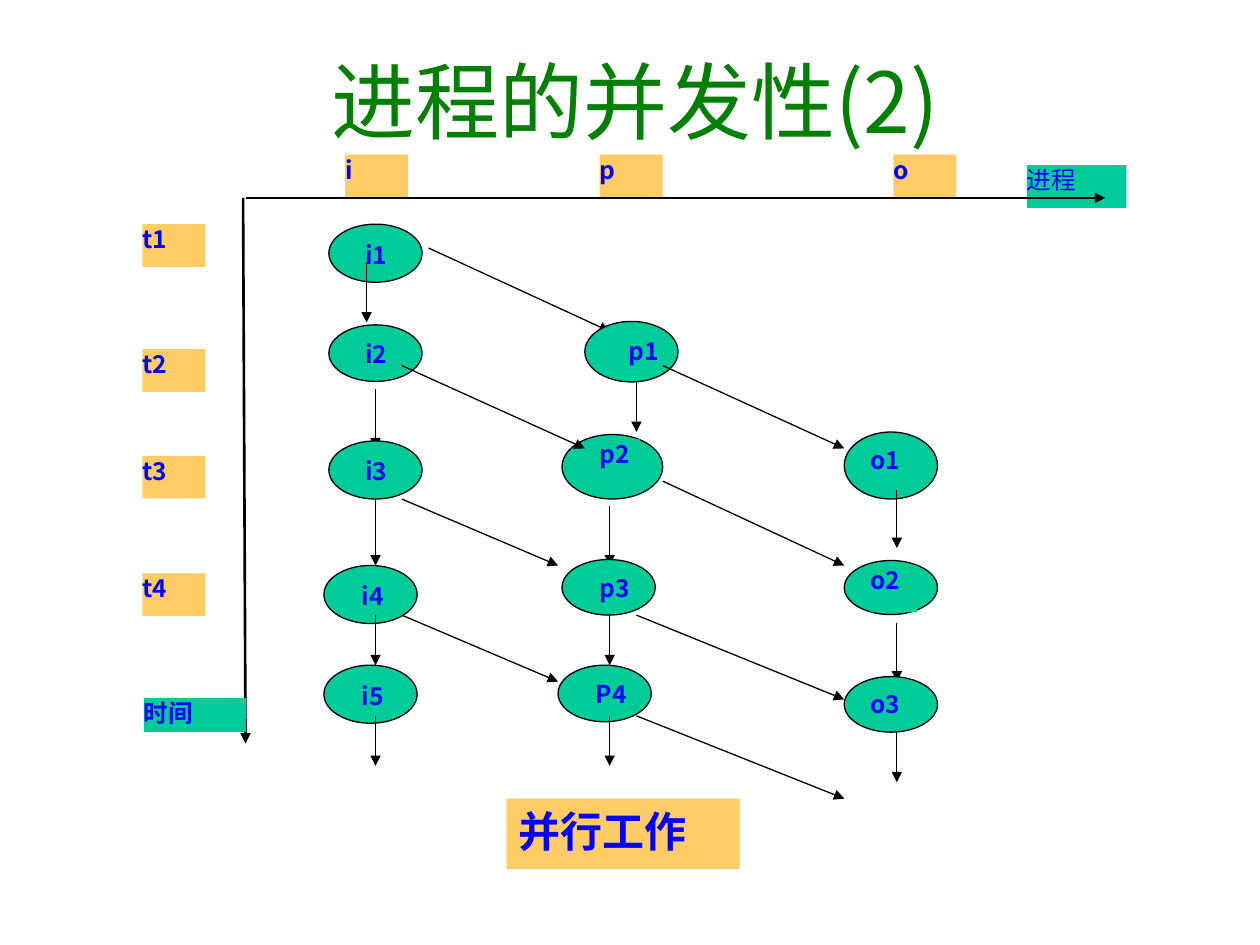
"""Build a slide showing concurrent processes i, p and o over time."""

import typing

import pptx
import pptx.dml.color
import pptx.enum.shapes
import pptx.enum.text
import pptx.oxml.ns
import pptx.util
from lxml import etree

Cm = pptx.util.Cm
Pt = pptx.util.Pt
SHAPE = pptx.enum.shapes.MSO_SHAPE
ALIGN = pptx.enum.text.PP_ALIGN
ANCHOR = pptx.enum.text.MSO_ANCHOR

GREEN = pptx.dml.color.RGBColor(0x00, 0x80, 0x00)
TEAL = pptx.dml.color.RGBColor(0x00, 0xCC, 0x99)
ORANGE = pptx.dml.color.RGBColor(0xFF, 0xCC, 0x66)
BLUE = pptx.dml.color.RGBColor(0x00, 0x00, 0xFF)
BLACK = pptx.dml.color.RGBColor(0x00, 0x00, 0x00)
MAIN_FONT = "Noto Sans CJK JP"
LABEL_FONT = {"name": MAIN_FONT, "size": Pt(14), "bold": True}
AXIS_FONT = {"name": "Noto Sans CJK SC", "size": Pt(14), "bold": False}
CAPTION_FONT = {"name": MAIN_FONT, "size": Pt(24), "bold": True}
TITLE_FONT = {"name": MAIN_FONT, "size": Pt(48)}
NO_INSETS = (0, 0)
CAPTION_INSETS = (0.25, 0.13)


class Box(typing.NamedTuple):
    left: float
    top: float
    width: float
    height: float


class Node(typing.NamedTuple):
    text: str
    oval: Box
    label: Box


class Arrow(typing.NamedTuple):
    start_x: float
    start_y: float
    end_x: float
    end_y: float


NODES = [
    Node("i1", Box(6.63, 4.52, 1.88, 1.17), Box(7.37, 4.83, 0.53, 0.71)),
    Node("i2", Box(6.63, 6.55, 1.88, 1.14), Box(7.37, 6.83, 0.74, 0.69)),
    Node("i3", Box(6.63, 8.89, 1.88, 1.17), Box(7.37, 9.19, 0.74, 0.74)),
    Node("i4", Box(6.53, 11.4, 1.88, 1.17), Box(7.29, 11.71, 0.61, 0.64)),
    Node("i5", Box(6.53, 13.41, 1.88, 1.17), Box(7.29, 13.72, 0.81, 0.61)),
    Node("p1", Box(11.79, 6.48, 1.88, 1.22), Box(12.67, 6.78, 0.64, 0.74)),
    Node("p2", Box(11.33, 8.76, 2.03, 1.3), Box(12.09, 8.86, 0.81, 0.86)),
    Node("p3", Box(11.33, 11.28, 1.88, 1.12), Box(12.09, 11.56, 0.81, 0.58)),
    Node("P4", Box(11.25, 13.41, 1.88, 1.14), Box(12.01, 13.69, 0.89, 0.64)),
    Node("o1", Box(17.02, 8.71, 1.88, 1.35), Box(17.55, 8.97, 0.74, 0.94)),
    Node("o2", Box(17.02, 11.3, 1.88, 1.09), Box(17.55, 11.4, 0.94, 0.94)),
    Node("o3", Box(17.02, 13.64, 1.88, 1.12), Box(17.55, 13.89, 0.94, 0.64)),
]
PROCESS_LEFTS = {"i": 6.96, "p": 12.09, "o": 18.01}
TIME_TOPS = {"t1": 4.52, "t2": 7.04, "t3": 9.19, "t4": 11.56}
TIME_AXIS = Arrow(4.9, 3.99, 4.95, 14.99)
PROCESS_AXIS = Arrow(4.95, 3.99, 22.28, 3.99)
ARROWS_BEHIND_NODES = [
    Arrow(8.64, 5, 12.29, 6.68),
    Arrow(7.57, 7.85, 7.57, 9.04),
    Arrow(12.29, 10.21, 12.29, 11.4),
    Arrow(18.08, 12.55, 18.08, 13.74),
]
ARROWS_OVER_NODES = [
    Arrow(7.39, 5.31, 7.39, 6.5),
    Arrow(7.57, 10.06, 7.57, 11.4),
    Arrow(7.57, 12.4, 7.57, 13.41),
    Arrow(7.57, 14.43, 7.57, 15.44),
    Arrow(12.83, 7.7, 12.83, 8.71),
    Arrow(12.29, 12.4, 12.29, 13.41),
    Arrow(12.29, 14.43, 12.29, 15.44),
    Arrow(18.08, 9.88, 18.08, 11.05),
    Arrow(18.08, 14.76, 18.08, 15.77),
    Arrow(8.1, 7.37, 11.79, 9.04),
    Arrow(8.1, 10.06, 11.25, 11.4),
    Arrow(8.1, 12.4, 11.25, 13.74),
    Arrow(13.36, 7.37, 17.02, 9.04),
    Arrow(13.36, 9.7, 17.02, 11.4),
    Arrow(12.83, 12.4, 17.02, 14.1),
    Arrow(12.83, 14.43, 17.02, 16.1),
]


def write_text(paragraph, text: str, color, font_format: dict) -> None:
    run = paragraph.add_run()
    run.text = text
    for name, value in font_format.items():
        setattr(run.font, name, value)
    run.font.color.rgb = color
    east_asian = etree.SubElement(run.font._element, pptx.oxml.ns.qn("a:ea"))
    east_asian.set("typeface", font_format["name"])


def add_filled_shape(slide, kind, box: Box, color):
    shape = slide.shapes.add_shape(kind, *map(Cm, box))
    shape.shadow.inherit = False
    shape.fill.solid()
    shape.fill.fore_color.rgb = color
    return shape


def add_label(slide, text: str, box: Box, color, font_format: dict = LABEL_FONT,
              insets: tuple = NO_INSETS, alignment=ALIGN.LEFT) -> None:
    shape = add_filled_shape(slide, SHAPE.RECTANGLE, box, color)
    shape.line.fill.background()
    side, edge = map(Cm, insets)
    frame_format = {
        "margin_left": side, "margin_right": side,
        "margin_top": edge, "margin_bottom": edge,
        "vertical_anchor": ANCHOR.TOP, "word_wrap": True,
    }
    for name, value in frame_format.items():
        setattr(shape.text_frame, name, value)
    paragraph = shape.text_frame.paragraphs[0]
    paragraph.alignment = alignment
    write_text(paragraph, text, BLUE, font_format)


def add_node(slide, node: Node) -> None:
    oval = add_filled_shape(slide, SHAPE.OVAL, node.oval, TEAL)
    oval.line.color.rgb = BLACK
    oval.line.width = Pt(0.75)
    add_label(slide, node.text, node.label, TEAL)


def add_arrow(slide, arrow: Arrow, width: float = 0.75) -> None:
    connector = slide.shapes.add_connector(
        pptx.enum.shapes.MSO_CONNECTOR.STRAIGHT, *map(Cm, arrow))
    connector.line.color.rgb = BLACK
    connector.line.width = Pt(width)
    line = connector.line._get_or_add_ln()
    etree.SubElement(line, pptx.oxml.ns.qn("a:tailEnd")).set("type", "triangle")
    etree.SubElement(connector._element.spPr, pptx.oxml.ns.qn("a:effectLst"))


def add_title(slide, text: str, box: Box) -> None:
    title = slide.shapes.title
    for name, value in box._asdict().items():
        setattr(title, name, Cm(value))
    title.text_frame.vertical_anchor = ANCHOR.MIDDLE
    paragraph = title.text_frame.paragraphs[0]
    paragraph.alignment = ALIGN.CENTER
    write_text(paragraph, text, GREEN, TITLE_FONT)


def main() -> None:
    presentation = pptx.Presentation()
    presentation.slide_width = Cm(25.4)
    presentation.slide_height = Cm(19.05)
    slide = presentation.slides.add_slide(presentation.slide_layouts[5])
    add_title(slide, "进程的并发性(2)", Box(2.54, 0.43, 20.52, 3.18))
    add_label(slide, "进程", Box(20.7, 3.33, 2.01, 0.86), TEAL, AXIS_FONT)
    add_arrow(slide, TIME_AXIS, 1.5)
    add_label(slide, "时间", Box(2.9, 14.07, 2.06, 0.69), TEAL)
    for text, left in PROCESS_LEFTS.items():
        add_label(slide, text, Box(left, 3.12, 1.27, 0.86), ORANGE)
    for text, top in TIME_TOPS.items():
        add_label(slide, text, Box(2.87, top, 1.27, 0.86), ORANGE)
    add_arrow(slide, PROCESS_AXIS, 1.5)
    for arrow in ARROWS_BEHIND_NODES:
        add_arrow(slide, arrow)
    for node in NODES:
        add_node(slide, node)
    for arrow in ARROWS_OVER_NODES:
        add_arrow(slide, arrow)
    add_label(slide, "并行工作", Box(10.21, 16.1, 4.7, 1.42), ORANGE,
              CAPTION_FONT, CAPTION_INSETS, ALIGN.JUSTIFY)
    presentation.save("out.pptx")


if __name__ == "__main__":
    main()
